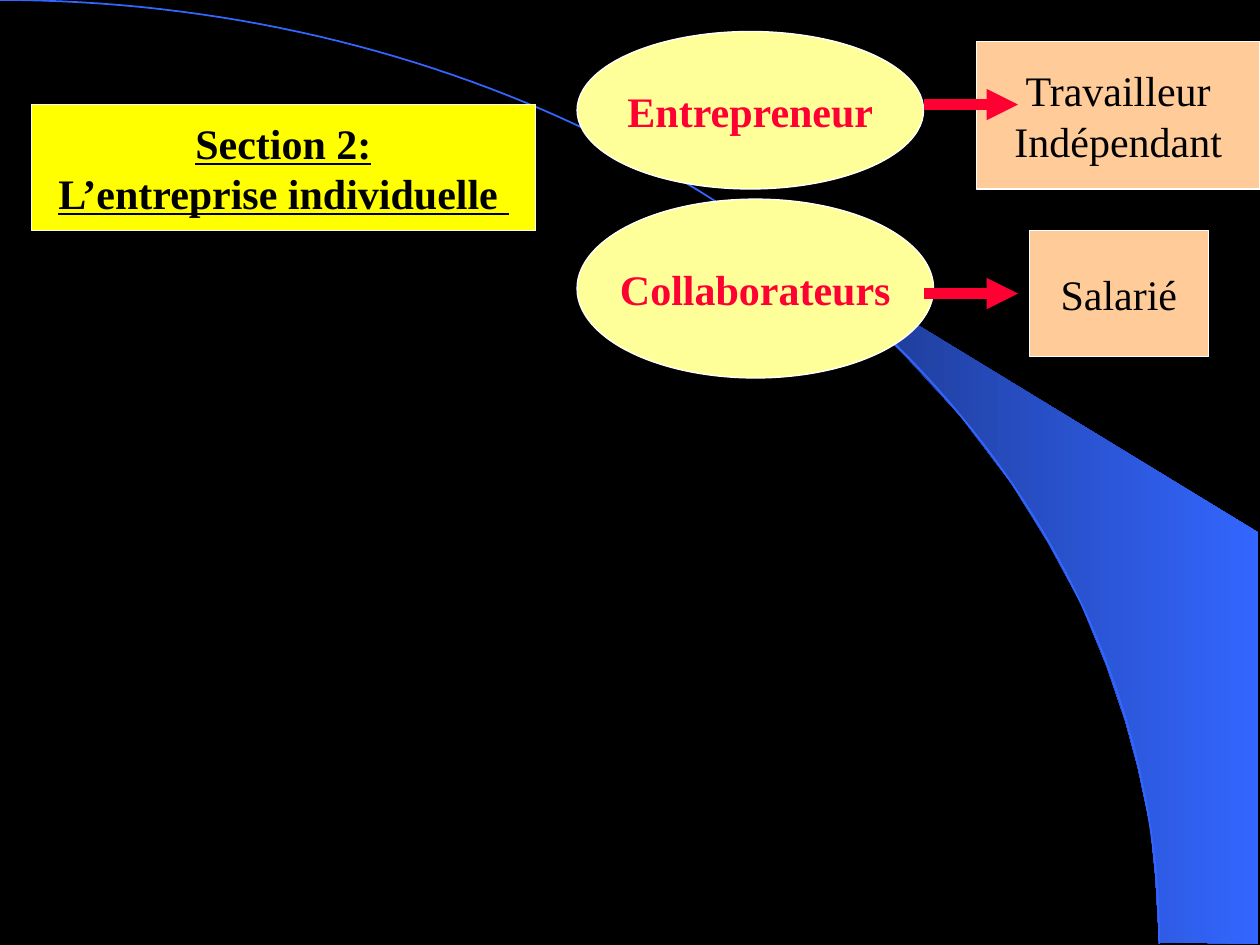
"""Build the slide on the sole trader: entrepreneur and staff, each with a status."""
import math

import lxml.etree
import pptx
import pptx.dml.color
import pptx.enum.dml
import pptx.enum.shapes
import pptx.enum.text
import pptx.oxml.ns
import pptx.util

Inches = pptx.util.Inches
Pt = pptx.util.Pt
RGB = pptx.dml.color.RGBColor
KIND = pptx.enum.shapes.MSO_SHAPE

BLACK = RGB(0x00, 0x00, 0x00)
WHITE = RGB(0xFF, 0xFF, 0xFF)
YELLOW = RGB(0xFF, 0xFF, 0x00)
CREAM = RGB(0xFF, 0xFF, 0x99)
PEACH = RGB(0xFF, 0xCC, 0x99)
RED = RGB(0xFF, 0x00, 0x33)
BLUE = RGB(0x33, 0x66, 0xFF)
NAVY = RGB(0x18, 0x2F, 0x76)


def write(shape, text, fill, color=BLACK, bold=False, under=False):
    shape.fill.solid()
    shape.fill.fore_color.rgb = fill
    shape.line.color.rgb = WHITE
    shape.line.width = Pt(0.75)
    frame = shape.text_frame
    frame.text = text
    frame.word_wrap = False
    frame.auto_size = pptx.enum.text.MSO_AUTO_SIZE.NONE
    frame.vertical_anchor = pptx.enum.text.MSO_ANCHOR.MIDDLE
    for para in frame.paragraphs:
        para.alignment = pptx.enum.text.PP_ALIGN.CENTER
        font = para.runs[0].font
        font.name = "Times New Roman"
        font.size = Pt(24)
        font.bold = bold
        font.underline = under
        font.color.rgb = color


def outline(points, close):
    spots = [(Inches(x), Inches(y)) for x, y in points]
    build = shapes.build_freeform(*spots[0], scale=1.0)
    build.add_line_segments(spots[1:], close=close)
    shape = build.convert_to_shape()
    shape.shadow.inherit = False
    return shape


deck = pptx.Presentation()
deck.slide_width = Inches(10)
deck.slide_height = Inches(7.5)
slide = deck.slides.add_slide(deck.slide_layouts[5])
slide.background.fill.solid()
slide.background.fill.fore_color.rgb = BLACK
shapes = slide.shapes

wedge = outline([
    (9.2, 7.48), (9.99, 7.49), (9.99, 4.23), (5.89, 1.73), (6.24, 1.99),
    (6.53, 2.22), (6.85, 2.5), (7.16, 2.8), (7.62, 3.3), (8.03, 3.84),
    (8.32, 4.31), (8.58, 4.79), (8.78, 5.28), (8.93, 5.72), (9.03, 6.09),
    (9.13, 6.56), (9.17, 6.96),
], True)
wedge.fill.gradient()
wedge.fill.gradient_angle = 0
for stop, color in zip(wedge.fill.gradient_stops, (NAVY, BLUE)):
    stop.color.rgb = color
wedge.line.fill.background()

wide, high, steps = 9.2, 7.49, 90
turns = [math.pi / 2 * i / steps for i in range(steps + 1)]
arc = outline([(wide * math.sin(t), high * (1 - math.cos(t))) for t in turns], False)
arc.fill.background()
arc.line.color.rgb = BLUE
arc.line.width = Pt(1)

title = shapes.title
title.left, title.top = Inches(0.25), Inches(0.83)
title.width, title.height = Inches(4), Inches(1)
write(title, "Section 2:\nL’entreprise individuelle ", YELLOW, bold=True, under=True)
title.element.getparent().append(title.element)

role = {"fill": CREAM, "color": RED, "bold": True}
status = {"fill": PEACH}
for text, kind, box, style in (
    ("Entrepreneur", KIND.OVAL, (4.58, 0.25, 2.75, 1.25), role),
    ("Collaborateurs", KIND.OVAL, (4.58, 1.58, 2.83, 1.42), role),
    ("Travailleur\nIndépendant", KIND.RECTANGLE, (7.75, 0.33, 2.25, 1.17), status),
    ("Salarié", KIND.RECTANGLE, (8.17, 1.83, 1.42, 1), status),
):
    shape = shapes.add_shape(kind, *map(Inches, box))
    shape.shadow.inherit = False
    write(shape, text, **style)

for y in (0.83, 2.33):
    arrow = shapes.add_connector(
        pptx.enum.shapes.MSO_CONNECTOR.STRAIGHT,
        Inches(7.33), Inches(y), Inches(8.08), Inches(y))
    arrow.line.color.rgb = RED
    arrow.line.width = Pt(6)
    qn = pptx.oxml.ns.qn
    line = arrow.line._get_or_add_ln()
    lxml.etree.SubElement(line, qn("a:tailEnd"), type="triangle")
    lxml.etree.SubElement(arrow.element.spPr, qn("a:effectLst"))

deck.save("out.pptx")
